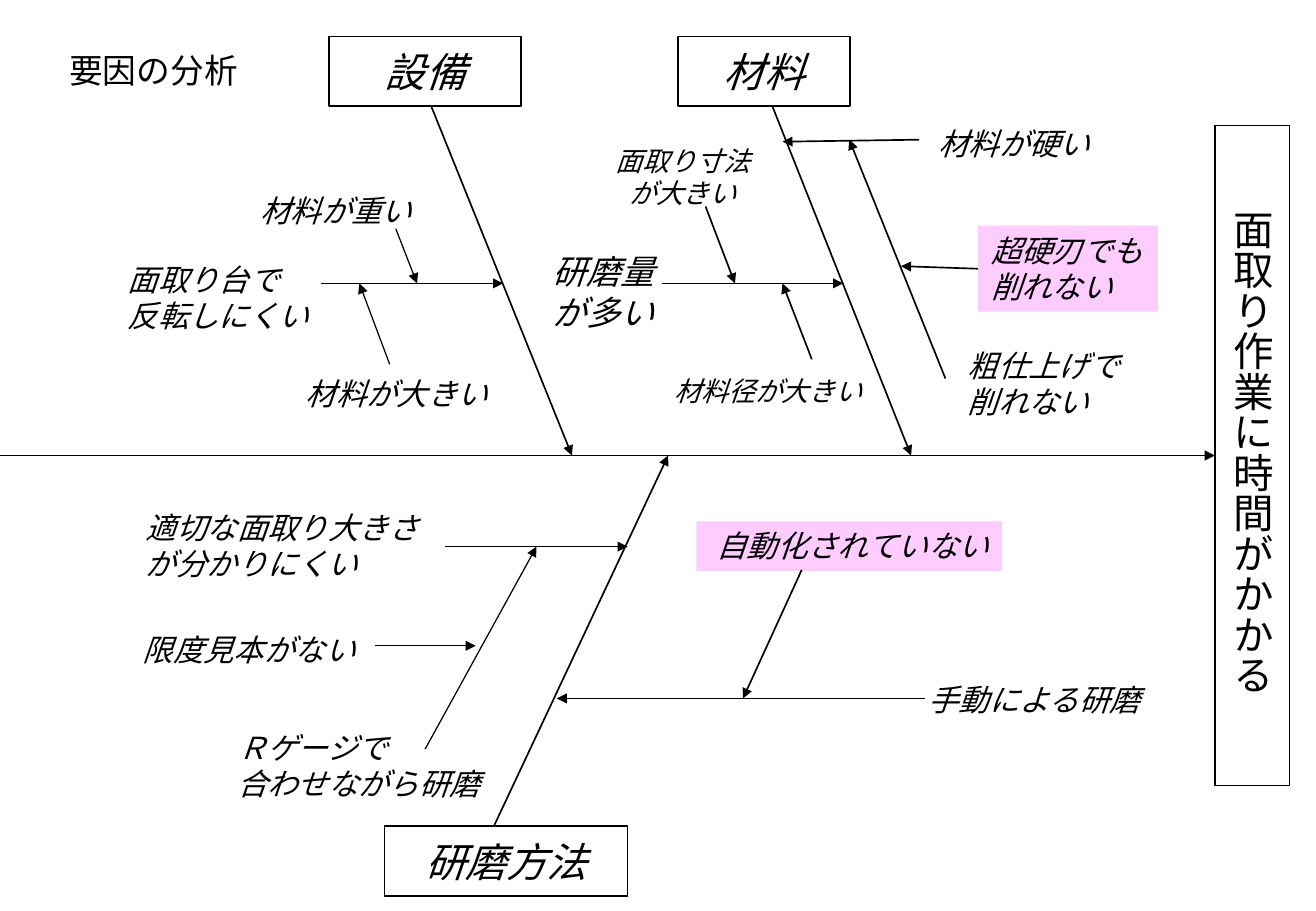
from dataclasses import dataclass

from lxml.etree import SubElement
from pptx import Presentation
from pptx.dml.color import RGBColor
from pptx.enum.shapes import MSO_CONNECTOR, MSO_SHAPE
from pptx.enum.text import MSO_ANCHOR, MSO_AUTO_SIZE, PP_ALIGN
from pptx.oxml.ns import qn
from pptx.shapes.autoshape import Shape
from pptx.shapes.connector import Connector
from pptx.slide import Slide
from pptx.text.text import TextFrame
from pptx.util import Inches, Length, Pt

COLUMNS, ROWS = 130, 90
LEFT_SIDE = 1


@dataclass(frozen=True)
class Theme:
    font: str = "Noto Sans CJK JP"
    ink: RGBColor = RGBColor(0, 0, 0)
    highlight: RGBColor = RGBColor(0xFF, 0xCC, 0xFF)
    heading: int = 24
    title: int = 20
    strong: int = 20
    cause: int = 18
    detail: int = 16
    thick: float = 1
    thin: float = 0.75
    spine: float = 0.5


THEME = Theme()


@dataclass(frozen=True)
class Heading:
    text: str
    left: float
    top: float
    width: float
    height: float = 6.9
    vertical: bool = False


@dataclass(frozen=True)
class Cause:
    text: str
    left: float
    top: float
    size: int = THEME.cause
    align: PP_ALIGN = PP_ALIGN.LEFT
    highlighted: bool = False
    wrap_width: float = 0


@dataclass(frozen=True)
class Arrow:
    start: tuple[float, float]
    tip: tuple[float, float]
    weight: float = THEME.thick
    source: str = ""
    target: str = ""


EFFECT = "面取り作業に時間がかかる"
HARD_BLADE = "超硬刃でも\n削れない"

HEADINGS = [
    Heading(EFFECT, 120, 12.4, 7.4, 65.2, vertical=True),
    Heading("設備", 32.5, 3.6, 19),
    Heading("材料", 67, 3.6, 17),
    Heading("研磨方法", 38, 81.6, 24),
]

CAUSES = [
    Cause("材料が重い", 24.4, 18.4),
    Cause("面取り台で\n反転しにくい", 11.3, 25.2),
    Cause("材料が大きい", 28.9, 36.5),
    Cause("面取り寸法\nが大きい", 59.4, 13.7, THEME.detail, PP_ALIGN.CENTER),
    Cause("研磨量\nが多い", 53.3, 24.2, THEME.strong),
    Cause("材料径が大きい", 65.3, 36.4, THEME.detail),
    Cause("材料が硬い", 91.4, 11.8),
    Cause(HARD_BLADE, 96.6, 22.3, highlighted=True),
    Cause("粗仕上げで\n削れない", 94.3, 33.7),
    Cause("適切な面取り大きさが分かりにくい", 13.1, 49.7, wrap_width=30),
    Cause("限度見本がない", 12.8, 61.8),
    Cause("Ｒゲージで\n合わせながら研磨", 22.1, 71.4),
    Cause("自動化されていない", 68.8, 51.5, align=PP_ALIGN.RIGHT,
          highlighted=True, wrap_width=30.2),
    Cause("手動による研磨", 90.4, 66.7),
]

ARROWS = [
    Arrow((0, 45), (120, 45), THEME.spine, target=EFFECT),
    # 設備
    Arrow((42.6, 10.5), (56.5, 45)),
    Arrow((31.7, 28), (49.7, 28), THEME.thin),
    Arrow((39.1, 22.6), (41.2, 28), THEME.thin),
    Arrow((38.5, 36), (35.5, 28), THEME.thin),
    # 材料
    Arrow((76.3, 10.5), (90, 45)),
    Arrow((65.4, 28), (83.3, 28), THEME.thin),
    Arrow((69.7, 20.4), (72.6, 28)),
    Arrow((80.2, 35.5), (77.3, 28)),
    Arrow((90.8, 13.8), (77.3, 14)),
    Arrow((93.4, 37.4), (83.9, 13.8)),
    Arrow((96.6, 26.5), (89, 26.3), source=HARD_BLADE),
    # 研磨方法
    Arrow((48.8, 81.6), (66, 45)),
    Arrow((44, 54), (62, 54), THEME.thin),
    Arrow((42, 74), (53, 54), THEME.thin),
    Arrow((37, 63.8), (47, 63.8), THEME.thin),
    Arrow((91.4, 69), (55, 69)),
    Arrow((79.2, 56.3), (73.4, 69)),
]


def cells(count: float) -> Length:
    """Length of a number of grid cells, twelve to the inch."""
    return Inches(count / 12)


def write(frame: TextFrame, text: str, size: int, align: PP_ALIGN, italic: bool) -> None:
    frame.text = text
    frame.auto_size = MSO_AUTO_SIZE.NONE
    frame.margin_left = frame.margin_right = Inches(0.11)
    frame.margin_top = frame.margin_bottom = Inches(0.05)
    for para in frame.paragraphs:
        para.alignment = align
        para.font.size = Pt(size)
        para.font.italic = italic
        para.font.color.rgb = THEME.ink
        para.font.name = THEME.font
        east_asian = SubElement(para._p.pPr.find(qn("a:defRPr")), qn("a:ea"))
        east_asian.set("typeface", THEME.font)


def place_title(page: Slide) -> None:
    title = page.shapes.title
    title.left, title.top, title.width, title.height = map(cells, (5.5, 4.3, 19.5, 5.3))
    write(title.text_frame, "要因の分析", THEME.title, PP_ALIGN.LEFT, False)
    title.text_frame.vertical_anchor = MSO_ANCHOR.TOP
    title.text_frame.word_wrap = False


def draw_heading(page: Slide, heading: Heading) -> Shape:
    area = map(cells, (heading.left, heading.top, heading.width, heading.height))
    box = page.shapes.add_shape(MSO_SHAPE.RECTANGLE, *area)
    box.shadow.inherit = False
    box.fill.background()
    box.line.color.rgb = THEME.ink
    box.line.width = Pt(THEME.thick)
    frame = box.text_frame
    write(frame, heading.text, THEME.heading, PP_ALIGN.CENTER, not heading.vertical)
    frame.vertical_anchor = MSO_ANCHOR.MIDDLE
    if heading.vertical:
        text_length = len(heading.text) * THEME.heading / 6
        frame.margin_left = frame.margin_right = 0
        frame.margin_top = frame.margin_bottom = cells((heading.height - text_length) / 2 - 0.3)
        frame._txBody.bodyPr.set("vert", "eaVert")
    return box


def draw_cause(page: Slide, cause: Cause) -> Shape:
    """Draw a label sized from its longest line and its number of lines."""
    lines = cause.text.split("\n")
    width = cause.wrap_width or max(map(len, lines)) * cause.size / 6 + 2.8
    height = len(lines) * cause.size / 5 + 1.3
    box = page.shapes.add_textbox(*map(cells, (cause.left, cause.top, width, height)))
    write(box.text_frame, cause.text, cause.size, cause.align, True)
    box.text_frame.vertical_anchor = MSO_ANCHOR.TOP
    box.text_frame.word_wrap = bool(cause.wrap_width)
    if cause.highlighted:
        box.fill.solid()
        box.fill.fore_color.rgb = THEME.highlight
    return box


def draw_arrow(page: Slide, arrow: Arrow, boxes: dict[str, Shape]) -> Connector:
    ends = map(cells, (*arrow.start, *arrow.tip))
    line = page.shapes.add_connector(MSO_CONNECTOR.STRAIGHT, *ends)
    line.line.color.rgb = THEME.ink
    line.line.width = Pt(arrow.weight)
    SubElement(line.line._get_or_add_ln(), qn("a:tailEnd")).set("type", "triangle")
    SubElement(line._element.spPr, qn("a:effectLst"))
    if arrow.source:
        line.begin_connect(boxes[arrow.source], LEFT_SIDE)
    if arrow.target:
        line.end_connect(boxes[arrow.target], LEFT_SIDE)
    return line


def main() -> None:
    deck = Presentation()
    deck.slide_width, deck.slide_height = cells(COLUMNS), cells(ROWS)
    page = deck.slides.add_slide(deck.slide_layouts.get_by_name("Title Only"))
    place_title(page)
    boxes = {heading.text: draw_heading(page, heading) for heading in HEADINGS}
    boxes |= {cause.text: draw_cause(page, cause) for cause in CAUSES}
    for arrow in ARROWS:
        draw_arrow(page, arrow, boxes)
    deck.save("out.pptx")


if __name__ == "__main__":
    main()
